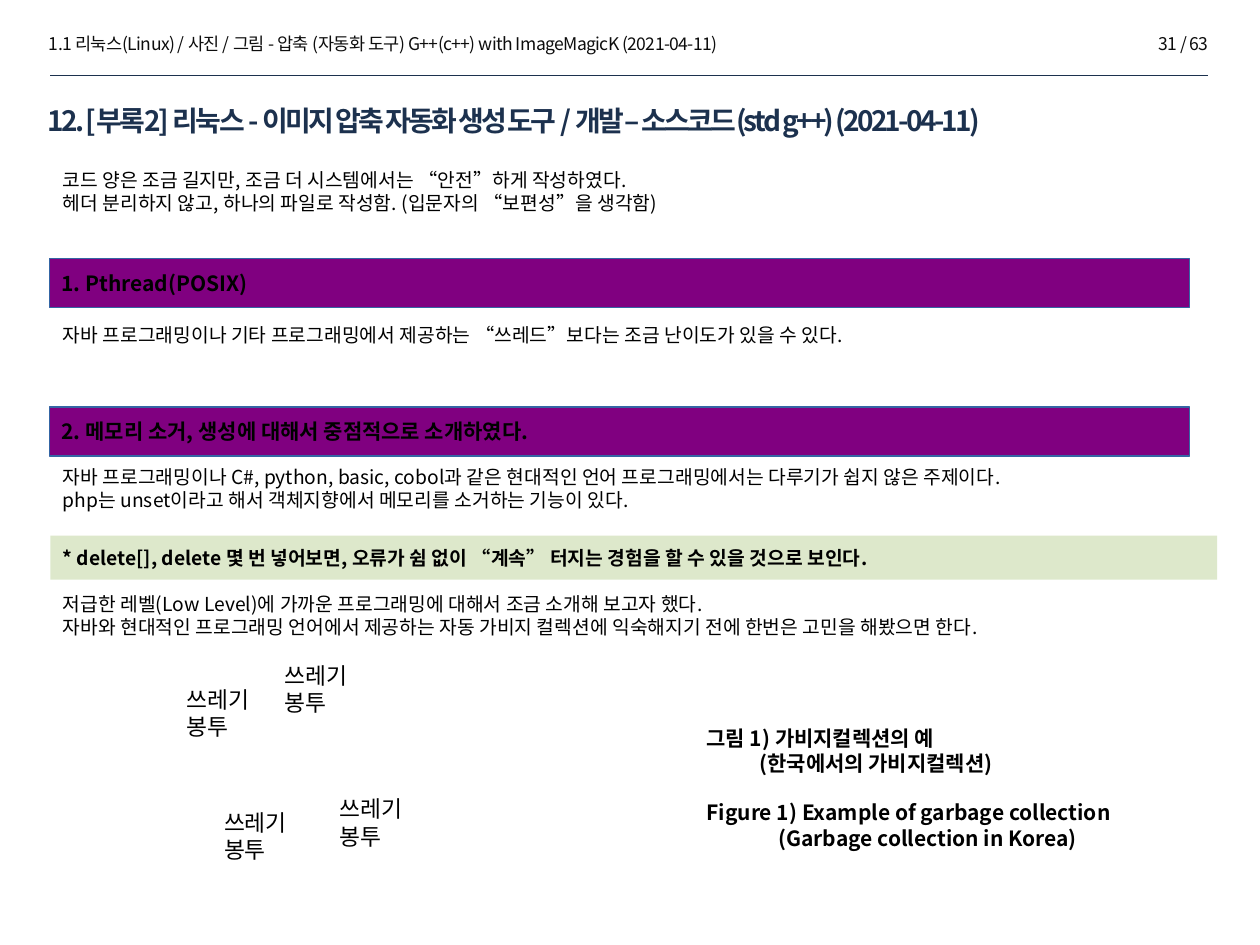
from dataclasses import dataclass

from lxml.etree import SubElement
from pptx import Presentation
from pptx.dml.color import RGBColor
from pptx.enum.shapes import MSO_CONNECTOR, MSO_SHAPE
from pptx.enum.text import MSO_ANCHOR, MSO_AUTO_SIZE, PP_ALIGN
from pptx.oxml.ns import qn
from pptx.util import Inches, Pt


@dataclass(frozen=True)
class Theme:
    font: str = "Noto Sans CJK KR"
    navy: str = "1C314E"
    header: str = "0D0D0D"
    black: str = "000000"
    purple: str = "800080"
    bar_edge: str = "3465A4"
    green: str = "DDE8CB"
    header_size: float = 10
    title_size: float = 16
    body_size: float = 11
    heading_size: float = 12
    bag_size: float = 13


@dataclass(frozen=True)
class Box:
    left: float
    top: float
    width: float
    height: float

    def inches(self) -> tuple:
        return tuple(Inches(v) for v in (self.left, self.top, self.width, self.height))


@dataclass(frozen=True)
class Passage:
    box: Box
    lines: tuple


@dataclass(frozen=True)
class Caption:
    top: float
    lines: tuple
    indent: float


THEME = Theme()
BODY_LEFT, BODY_WIDTH = 0.4, 9.26

# Content
HEADINGS = (
    (2.05, "1. Pthread(POSIX)"),
    (3.23, "2. 메모리 소거, 생성에 대해서 중점적으로 소개하였다."),
)
PASSAGES = (
    Passage(Box(BODY_LEFT, 1.26, BODY_WIDTH, 0.51), (
        "코드 양은 조금 길지만, 조금 더 시스템에서는 “안전”하게 작성하였다.",
        "헤더 분리하지 않고, 하나의 파일로 작성함. (입문자의 “보편성”을 생각함)")),
    Passage(Box(BODY_LEFT, 2.4, BODY_WIDTH, 0.51), (
        "자바 프로그래밍이나 기타 프로그래밍에서 제공하는 “쓰레드”보다는 조금 난이도가 있을 수 있다.",)),
    Passage(Box(BODY_LEFT, 3.62, BODY_WIDTH, 0.51), (
        "자바 프로그래밍이나 C#, python, basic, cobol과 같은 현대적인 언어 프로그래밍에서는 다루기가 쉽지 않은 주제이다.",
        "php는 unset이라고 해서 객체지향에서 메모리를 소거하는 기능이 있다.")),
    Passage(Box(BODY_LEFT, 4.65, BODY_WIDTH, 0.47), (
        "저급한 레벨(Low Level)에 가까운 프로그래밍에 대해서 조금 소개해 보고자 했다.\v"
        "자바와 현대적인 프로그래밍 언어에서 제공하는 자동 가비지 컬렉션에 익숙해지기 전에 한번은 고민을 해봤으면 한다.",)),
)
GARBAGE_BAGS = (
    Box(1.38, 5.39, 1.38, 0.51),
    Box(2.16, 5.2, 1.38, 0.51),
    Box(1.68, 6.37, 1.67, 0.51),
    Box(2.6, 6.26, 1.67, 0.51),
)
CAPTIONS = (
    Caption(5.71, ("그림 1) 가비지컬렉션의 예", "(한국에서의 가비지컬렉션)"), 0.42),
    Caption(6.3, ("Figure 1) Example of garbage collection",
                  "(Garbage collection in Korea)"), 0.57),
)


def write(frame, *lines: str, size: float, color: str = THEME.black, bold: bool = False,
          spacing: float = 0, align=PP_ALIGN.LEFT, anchor=MSO_ANCHOR.TOP,
          wrap: bool = True, grow: bool = False, indent: float = 0) -> None:
    """Fill a text frame, one paragraph a line; indent applies after the first."""
    frame.word_wrap = wrap
    frame.vertical_anchor = anchor
    frame.auto_size = MSO_AUTO_SIZE.SHAPE_TO_FIT_TEXT if grow else MSO_AUTO_SIZE.NONE
    for number, line in enumerate(lines):
        paragraph = frame.add_paragraph() if number else frame.paragraphs[0]
        paragraph.text = line
        paragraph.alignment = align
        if number and indent:
            properties = paragraph._p.get_or_add_pPr()
            properties.set("marL", str(Inches(indent)))
            properties.set("indent", "0")
        for run in paragraph.runs:
            run.font.size = Pt(size)
            run.font.bold = bold
            run.font.color.rgb = RGBColor.from_string(color)
            run.font.name = THEME.font
            run_properties = run._r.get_or_add_rPr()
            SubElement(run_properties, qn("a:ea")).set("typeface", THEME.font)
            if spacing:
                run_properties.set("spc", str(round(spacing * 100)))


def add_text(slide, box: Box, *lines: str, **text_format) -> None:
    write(slide.shapes.add_textbox(*box.inches()).text_frame, *lines, **text_format)


def add_bar(slide, box: Box, text: str, fill: str, edge: str = "", **text_format) -> None:
    bar = slide.shapes.add_shape(MSO_SHAPE.RECTANGLE, *box.inches())
    bar.shadow.inherit = False
    bar.fill.solid()
    bar.fill.fore_color.rgb = RGBColor.from_string(fill)
    if edge:
        bar.line.color.rgb = RGBColor.from_string(edge)
        bar.line.width = Pt(0)
    else:
        bar.line.fill.background()
    write(bar.text_frame, text, bold=True, anchor=MSO_ANCHOR.MIDDLE, **text_format)


def add_rule(slide, left: float, right: float, top: float) -> None:
    rule = slide.shapes.add_connector(
        MSO_CONNECTOR.STRAIGHT, Inches(left), Inches(top), Inches(right), Inches(top))
    rule.line.color.rgb = RGBColor.from_string(THEME.navy)
    rule.line.width = Pt(0.25)
    SubElement(rule._element.spPr, qn("a:effectLst"))


def main() -> None:
    deck = Presentation()
    deck.slide_width, deck.slide_height = Inches(10), Inches(7.5)
    slide = deck.slides.add_slide(deck.slide_layouts[6])

    # Running header, page number and title
    header_format = dict(size=THEME.header_size, color=THEME.header, spacing=-0.3, grow=True)
    add_text(slide, Box(0.29, 0.21, 8.68, 0.26),
             "1.1 리눅스(Linux) / 사진 / 그림 - 압축 (자동화 도구) G++(c++) with ImageMagicK (2021-04-11)",
             **header_format)
    add_text(slide, Box(7.96, 0.21, 1.73, 0.26), "31 / 63",
             align=PP_ALIGN.RIGHT, **header_format)
    add_rule(slide, 0.4, 9.59, 0.6)
    add_text(slide, Box(0.28, 0.77, 9.31, 0.63),
             "12. [부록2] 리눅스 - 이미지 압축 자동화 생성 도구 / 개발 – 소스코드(std g++) (2021-04-11)",
             size=THEME.title_size, color=THEME.navy, bold=True, spacing=-1.5)

    # Section headings, body passages and the highlighted remark
    for top, heading in HEADINGS:
        add_bar(slide, Box(0.39, top, 9.05, 0.39), heading, THEME.purple, THEME.bar_edge,
                size=THEME.heading_size, wrap=False)
    for passage in PASSAGES:
        add_text(slide, passage.box, *passage.lines,
                 size=THEME.body_size, anchor=MSO_ANCHOR.MIDDLE)
    add_bar(slide, Box(BODY_LEFT, 4.25, BODY_WIDTH, 0.35),
            "* delete[], delete 몇 번 넣어보면, 오류가 쉼 없이 “계속” 터지는 경험을 할 수 있을 것으로 보인다.",
            THEME.green, size=THEME.body_size)

    # Garbage bag labels and figure captions
    for bag in GARBAGE_BAGS:
        add_text(slide, bag, "쓰레기", "봉투", size=THEME.bag_size)
    for caption in CAPTIONS:
        add_text(slide, Box(5.51, caption.top, 3.94, 0.48), *caption.lines,
                 size=THEME.heading_size, bold=True, indent=caption.indent)

    deck.save("out.pptx")


if __name__ == "__main__":
    main()
